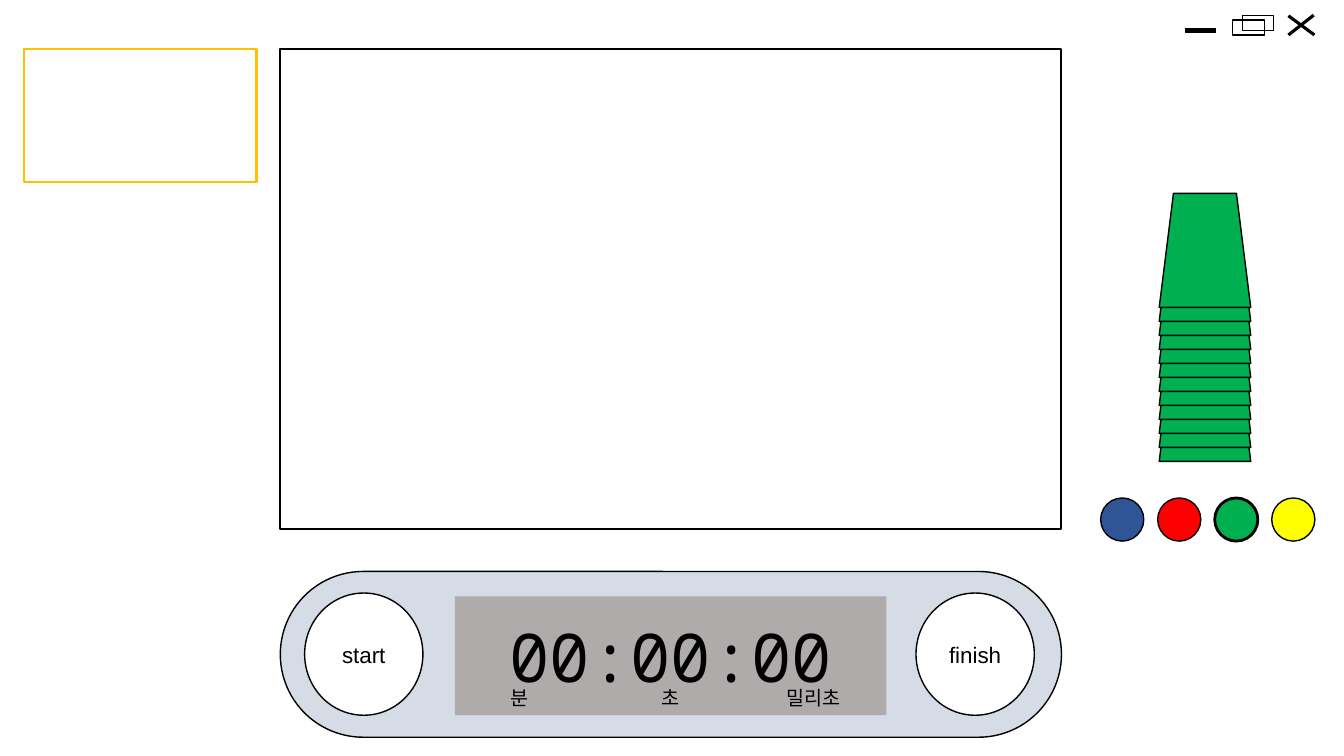
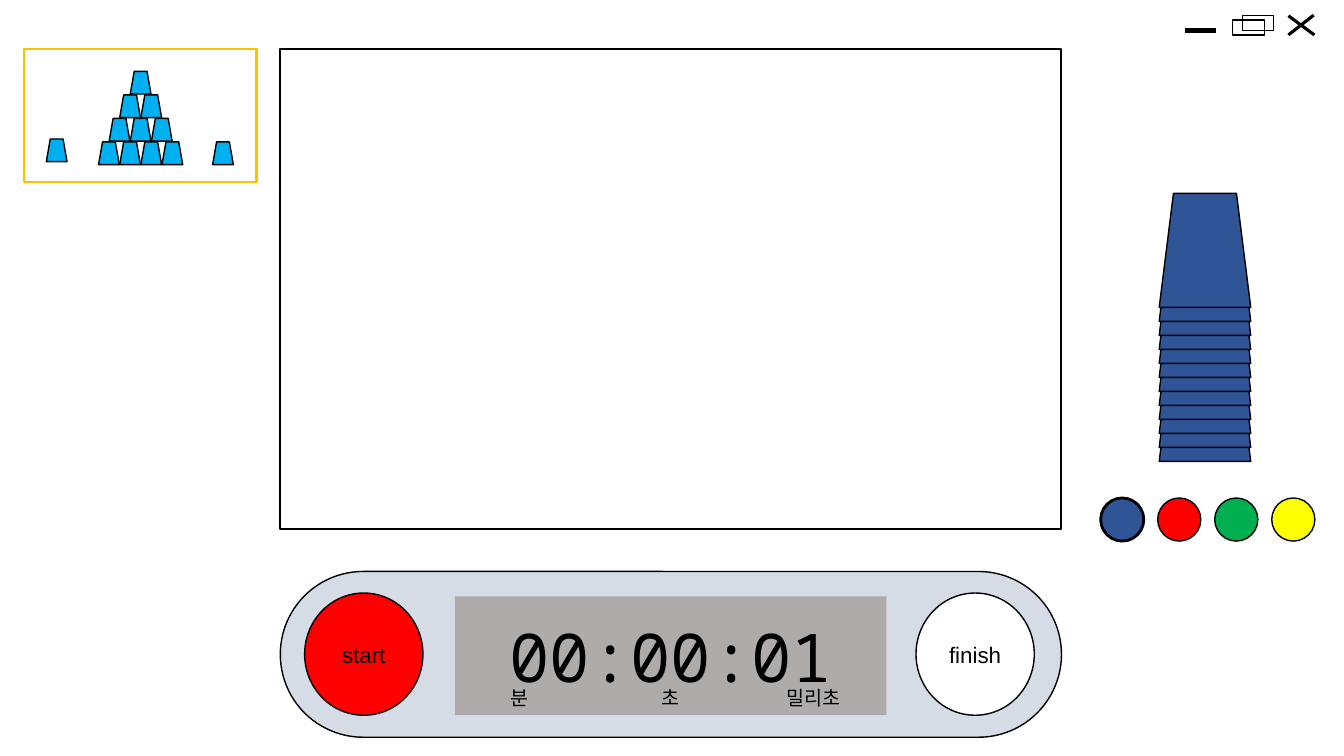
from dataclasses import dataclass

from lxml import etree
from pptx import Presentation
from pptx.dml.color import RGBColor
from pptx.enum import shapes as sh, text as tx
from pptx.oxml import ns
from pptx.util import Pt


@dataclass(frozen=True)
class Theme:
    ink: str = "000000"
    paper: str = "FFFFFF"
    panel: str = "D6DCE5"
    display: str = "AFABAB"
    accent: str = "FFC000"
    target_cup: str = "00B0F0"
    blue: str = "2F5597"
    red: str = "FF0000"
    green: str = "00B050"
    yellow: str = "FFFF00"
    font: str = "Arial"
    digit_font: str = "Noto Sans Mono"
    digit_size: int = 48
    button_size: int = 16
    unit_size: int = 14
    thin: float = 1
    frame: float = 1.5
    selected: float = 2
    cross: float = 2.25
    bar: float = 3.5


THEME = Theme()
SHAPE = sh.MSO_SHAPE


# Shared building blocks
def add_shape(parent, kind, box, fill=None, line=THEME.ink, width=THEME.thin, adj=None):
    shape = parent.shapes.add_shape(kind, *map(Pt, box))
    shape.shadow.inherit = False
    if adj is not None:
        shape.adjustments[0] = adj
    if fill:
        shape.fill.solid()
        shape.fill.fore_color.rgb = RGBColor.from_string(fill)
    else:
        shape.fill.background()
    if line:
        shape.line.color.rgb = RGBColor.from_string(line)
        shape.line.width = Pt(width)
    else:
        shape.line.fill.background()
    return shape


def add_line(slide, start, end, width):
    line = slide.shapes.add_connector(
        sh.MSO_CONNECTOR.STRAIGHT, *map(Pt, (*start, *end)))
    line.line.color.rgb = RGBColor.from_string(THEME.ink)
    line.line.width = Pt(width)
    etree.SubElement(line._element.spPr, ns.qn("a:effectLst"))


def write(shape, words, size, font=THEME.font, align=tx.PP_ALIGN.CENTER,
          anchor=tx.MSO_ANCHOR.MIDDLE):
    frame = shape.text_frame
    frame.vertical_anchor = anchor
    paragraph = frame.paragraphs[0]
    paragraph.alignment = align
    run = paragraph.add_run()
    run.text = words
    run.font.size = Pt(size)
    run.font.name = font
    run.font.color.rgb = RGBColor.from_string(THEME.ink)


# Timer panel with its two buttons and the display
def timer(slide, box, time, start_fill):
    x, y, w, h = box
    group = slide.shapes.add_group_shape()
    add_shape(group, SHAPE.ROUNDED_RECTANGLE, box, THEME.panel, adj=0.5)
    button_w, button_h, margin = 84.5, 87.3, 17.4
    buttons = (("start", x + margin, start_fill),
               ("finish", x + w - margin - 2 - button_w, THEME.paper))
    for label, left, fill in buttons:
        button = add_shape(group, SHAPE.OVAL,
                           (left, y + 15.4, button_w, button_h), fill)
        write(button, label, THEME.button_size)
    display = add_shape(group, SHAPE.RECTANGLE, (x + 124.8, y + 17.8, 308.2, 84.9),
                        THEME.display, line=None)
    write(display, time, THEME.digit_size, THEME.digit_font)


# Units below the digits
def units(slide, box):
    x, y = box[:2]
    for label, dx, width in (("분", 157.1, 28.5), ("초", 265.4, 28.5), ("밀리초", 354.2, 56.9)):
        unit = slide.shapes.add_textbox(Pt(x + dx), Pt(y + 78.5), Pt(width), Pt(24.2))
        write(unit, label, THEME.unit_size, align=tx.PP_ALIGN.LEFT, anchor=tx.MSO_ANCHOR.TOP)
        unit.text_frame.word_wrap = False
        unit.text_frame.auto_size = tx.MSO_AUTO_SIZE.SHAPE_TO_FIT_TEXT


# Target card: a pyramid of cups between two single cups
def target_card(slide, box, has_cups):
    x, y = box[:2]
    add_shape(slide, SHAPE.RECTANGLE, box, THEME.paper, THEME.accent, THEME.frame)
    if not has_cups:
        return
    cup_w, cup_h, pitch, rise = 14.8, 16.2, 15.1, 16.8
    places = [(75.8 + (col - row / 2) * pitch, 15.8 + row * rise)
              for row in range(4) for col in range(row + 1)]
    places += [(15.8, 64.1), (134.6, 66.2)]
    for dx, dy in places:
        add_shape(slide, SHAPE.TRAPEZOID, (x + dx, y + dy, cup_w, cup_h),
                  THEME.target_cup, adj=0.19)


# Stack of cups, laid from the bottom up
def cup_stack(slide, box, color, count=12, cup_h=81.4):
    x, y, w, h = box
    step = (h - cup_h) / (count - 1)
    group = slide.shapes.add_group_shape()
    for level in reversed(range(count)):
        add_shape(group, SHAPE.TRAPEZOID, (x, y + level * step, w, cup_h), color, adj=0.156)


# Colour choice, the chosen one outlined more heavily
def palette(slide, box, chosen):
    x, y, w, h = box
    colors = (THEME.blue, THEME.red, THEME.green, THEME.yellow)
    pitch = (w - h) / (len(colors) - 1)
    for place, color in enumerate(colors):
        width = THEME.selected if color == chosen else THEME.thin
        add_shape(slide, SHAPE.OVAL, (x + place * pitch, y, h, h), color, width=width)


# Minimise, restore and close
def window_controls(slide, box):
    x, y, w, h = box
    add_line(slide, (x, y + 10.8), (x + 22.4, y + 10.8), THEME.bar)
    for dx, dy in ((34.2, 3.5), (41, 0.3)):
        add_shape(slide, SHAPE.RECTANGLE, (x + dx, y + dy, 22.6, 10.8))
    left, right = x + w - 18.6, x + w
    add_line(slide, (left, y + 0.5), (right, y + h), THEME.cross)
    add_line(slide, (right - 0.5, y), (left, y + h), THEME.cross)


def game_screen(deck, time, cup_color, start_fill=THEME.paper, has_target=False):
    slide = deck.slides.add_slide(deck.slide_layouts[6])
    timer_box = (200.2, 408.2, 558, 118.4)
    add_shape(slide, SHAPE.RECTANGLE, (200.2, 35.2, 558, 342.6), THEME.paper,
              width=THEME.frame)
    timer(slide, timer_box, time, start_fill)
    target_card(slide, (17.3, 35.2, 166, 94.6), has_target)
    cup_stack(slide, (828, 138.2, 65.4, 191.4), cup_color)
    palette(slide, (786.2, 355.7, 153, 30.8), cup_color)
    units(slide, timer_box)
    window_controls(slide, (846.3, 10.8, 92.6, 14.2))


def main():
    deck = Presentation()
    deck.slide_width, deck.slide_height = Pt(960), Pt(540)
    game_screen(deck, "00:00:00", THEME.green)
    game_screen(deck, "00:00:01", THEME.blue, THEME.red, has_target=True)
    deck.save("out.pptx")


if __name__ == "__main__":
    main()
